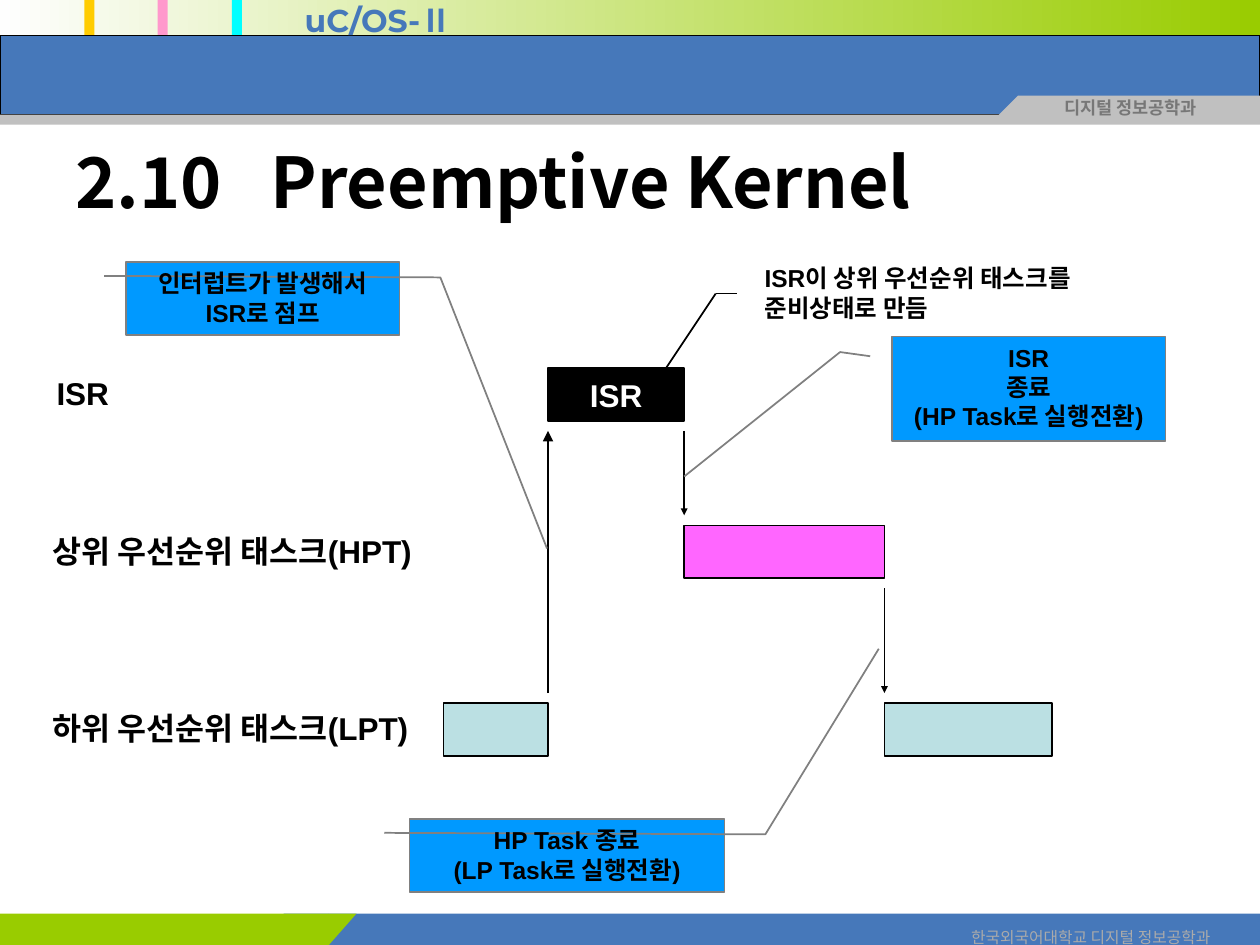
from lxml.etree import SubElement
from pptx import Presentation
from pptx.dml.color import RGBColor
from pptx.enum.shapes import MSO_CONNECTOR, MSO_SHAPE
from pptx.enum.text import MSO_ANCHOR, PP_ALIGN
from pptx.oxml.ns import qn
from pptx.util import Inches, Pt

COLORS = {
    "black": "000000", "white": "FFFFFF", "blue": "4678BA", "green": "99CC00",
    "pale": "FEFEFE", "yellow": "FFCC00", "rose": "FF99CC", "cyan": "00FFFF",
    "silver": "C0C0C0", "gray": "777777", "light_gray": "AAAAAA",
    "callout": "0099FF", "leader": "808080", "low": "BBE0E3", "high": "FF66FF",
}
HANGUL = "Noto Sans CJK KR"


def rgb(name):
    return RGBColor.from_string(COLORS[name])


def paint(sp, fill, line=None, weight=1):
    sp.shadow.inherit = False
    sp.fill.solid()
    sp.fill.fore_color.rgb = rgb(fill)
    if line:
        sp.line.color.rgb = rgb(line)
        sp.line.width = Pt(weight)
    else:
        sp.line.fill.background()


def add_box(s, box, fill, line=None, weight=1, kind=MSO_SHAPE.RECTANGLE):
    sp = s.shapes.add_shape(kind, *map(Inches, box))
    paint(sp, fill, line, weight)
    return sp


def add_triangle(s, points, fill):
    start, *rest = [tuple(map(Inches, pt)) for pt in points]
    builder = s.shapes.build_freeform(*start)
    builder.add_line_segments(rest, close=True)
    paint(builder.convert_to_shape(), fill)


def add_run(p, text, size, color="black", bold=True, font="Arial"):
    r = p.add_run()
    r.text = text
    r.font.size = Pt(size)
    r.font.bold = bold
    r.font.name = font
    r.font.color.rgb = rgb(color)
    SubElement(r._r.get_or_add_rPr(), qn("a:ea")).set("typeface", HANGUL)


def write(sp, lines, size, align=PP_ALIGN.LEFT, anchor=MSO_ANCHOR.TOP,
          wrap=True, **style):
    """Put one paragraph per line into a shape."""
    tf = sp.text_frame
    tf.word_wrap = wrap
    tf.vertical_anchor = anchor
    for i, line in enumerate(lines):
        p = tf.add_paragraph() if i else tf.paragraphs[0]
        p.alignment = align
        add_run(p, line, size, **style)
    return tf


def add_text(s, box, lines, size, **options):
    return write(s.shapes.add_textbox(*map(Inches, box)), lines, size, **options)


def add_line(s, start, end, head="med"):
    """Draw a line; head is the arrowhead size, or None for a plain end."""
    cx = s.shapes.add_connector(MSO_CONNECTOR.STRAIGHT,
                                *map(Inches, (*start, *end)))
    cx.line.color.rgb = rgb("black")
    cx.line.width = Pt(1)
    if head:
        tail = SubElement(cx.line._get_or_add_ln(), qn("a:tailEnd"))
        for key, value in (("type", "triangle"), ("w", head), ("len", head)):
            tail.set(key, value)
    SubElement(cx._element.spPr, qn("a:effectLst"))


def add_callout(s, box, leader, lines):
    """Box with a bent leader; leader holds y, x pairs relative to the box."""
    sp = add_box(s, box, "callout", "leader", kind=MSO_SHAPE.LINE_CALLOUT_2)
    for i, value in enumerate((0.19, -0.08, *leader)):
        sp.adjustments[i] = value
    write(sp, lines, 14, align=PP_ALIGN.CENTER)


def add_header(s):
    band = add_box(s, (0, 0, 10, 0.33), "green")
    band.fill.gradient()
    band.fill.gradient_angle = 180
    for stop, name in zip(band.fill.gradient_stops, ("green", "pale")):
        stop.color.rgb = rgb(name)
    for x, name in ((0.67, "yellow"), (1.25, "rose"), (1.84, "cyan")):
        add_box(s, (x, 0, 0.08, 0.33), name)
    add_box(s, (0, 0.28, 10, 0.63), "blue", "black", 0.75)
    add_box(s, (0, 0.91, 10, 0.08), "silver")
    add_box(s, (8.08, 0.76, 1.92, 0.17), "silver")
    add_triangle(s, ((7.92, 0.92), (8.08, 0.92), (8.08, 0.76)), "silver")
    add_text(s, (8.35, 0.72, 1.92, 0.25), ["디지털 정보공학과"], 10, color="gray")
    tf = add_text(s, (2.32, -0.04, 1.5, 0.4), ["uC/OS-"], 18,
                  color="blue", font="Montserrat")
    add_run(tf.paragraphs[0], "Ⅱ", 18, "blue", font=HANGUL)


def add_footer(s):
    add_box(s, (2.25, 7.25, 7.75, 0.25), "blue")
    add_box(s, (0, 7.25, 2.61, 0.25), "green")
    add_triangle(s, ((2.83, 7.25), (2.61, 7.25), (2.61, 7.5)), "green")
    add_text(s, (7.52, 7.31, 2.27, 0.12), ["한국외국어대학교 디지털 정보공학과"], 9,
             align=PP_ALIGN.CENTER, color="light_gray", bold=False, font=HANGUL)


def add_title(s):
    tf = add_text(s, (0.5, 1.08, 9, 0.7), ["2.10\tPreemptive Kernel"], 40,
                  anchor=MSO_ANCHOR.MIDDLE, font=HANGUL)
    tabs = SubElement(tf.paragraphs[0]._p.get_or_add_pPr(), qn("a:tabLst"))
    tab = SubElement(tabs, qn("a:tab"))
    tab.set("pos", str(Inches(1.55)))
    tab.set("algn", "l")


def add_timeline(s):
    isr_y, high_y, low_y = 2.92, 4.17, 5.58
    interrupt, isr_end, high_end = 4.35, 5.43, 7.02
    height, gap = 0.42, 0.08

    add_box(s, (3.52, low_y, interrupt - 3.52, height), "low", "black")
    add_box(s, (high_end, low_y, 1.33, height), "low", "black")
    add_box(s, (isr_end, high_y, high_end - isr_end, height), "high", "black")
    isr = add_box(s, (interrupt, isr_y, isr_end - interrupt, height),
                  "black", "black")
    write(isr, ["ISR"], 18, align=PP_ALIGN.CENTER, anchor=MSO_ANCHOR.MIDDLE,
          wrap=False, color="white")

    below_isr = isr_y + height + gap
    for x, y1, y2, head in ((interrupt, low_y - gap, below_isr, "med"),
                            (isr_end, below_isr, high_y - gap, "sm"),
                            (high_end, high_y + height + gap, low_y - gap, "sm")):
        add_line(s, (x, y1), (x, y2), head)

    for x, y, label in ((0.32, low_y, "하위 우선순위 태스크(LPT)"),
                        (0.32, high_y, "상위 우선순위 태스크(HPT)"),
                        (0.35, isr_y, "ISR")):
        add_text(s, (x, y, 3.15, 0.4), [label], 18)


def add_notes_on_events(s):
    bend = (5.68, 2.33)
    add_line(s, bend, (5.18, 3.08))
    add_line(s, bend, (5.85, 2.33), head=None)
    add_text(s, (5.97, 2.04, 2.76, 0.57),
             ["ISR이 상위 우선순위 태스크를", "준비상태로 만듬"], 14)
    add_callout(s, (1, 2.08, 2.17, 0.58), (0.21, 1.15, 3.92, 1.54),
                ["인터럽트가 발생해서 ISR로 점프"])
    add_callout(s, (7.08, 2.67, 2.17, 0.83), (0.15, -0.19, 1.34, -0.76),
                ["ISR", "종료", "(HP Task로 실행전환)"])
    add_callout(s, (3.25, 6.5, 2.5, 0.58), (0.21, 1.13, -2.33, 1.49),
                ["HP Task 종료", "(LP Task로 실행전환)"])


def main():
    prs = Presentation()
    prs.slide_width, prs.slide_height = Inches(10), Inches(7.5)
    s = prs.slides.add_slide(prs.slide_layouts[6])
    add_header(s)
    add_footer(s)
    add_title(s)
    add_timeline(s)
    add_notes_on_events(s)
    prs.save("out.pptx")


if __name__ == "__main__":
    main()
